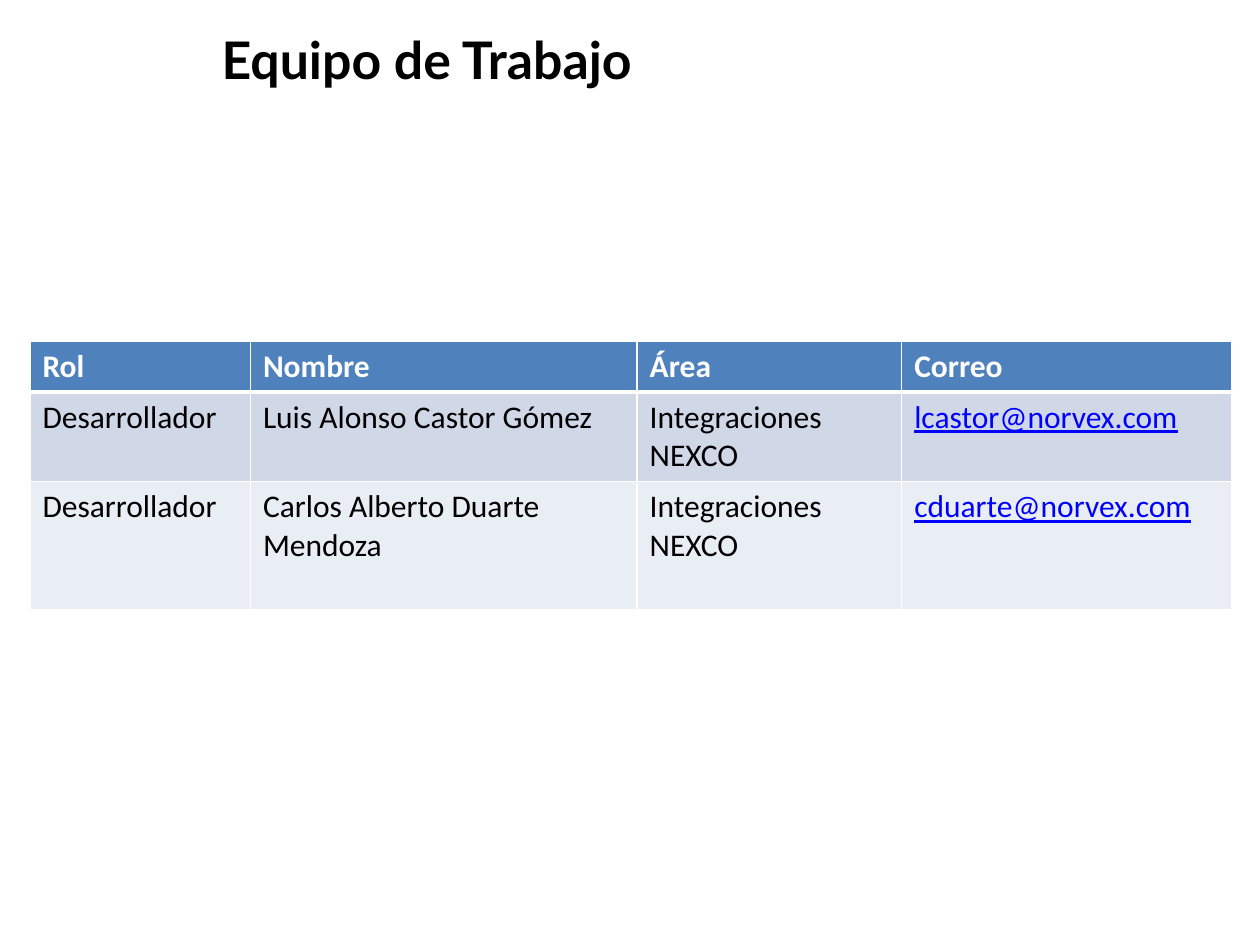
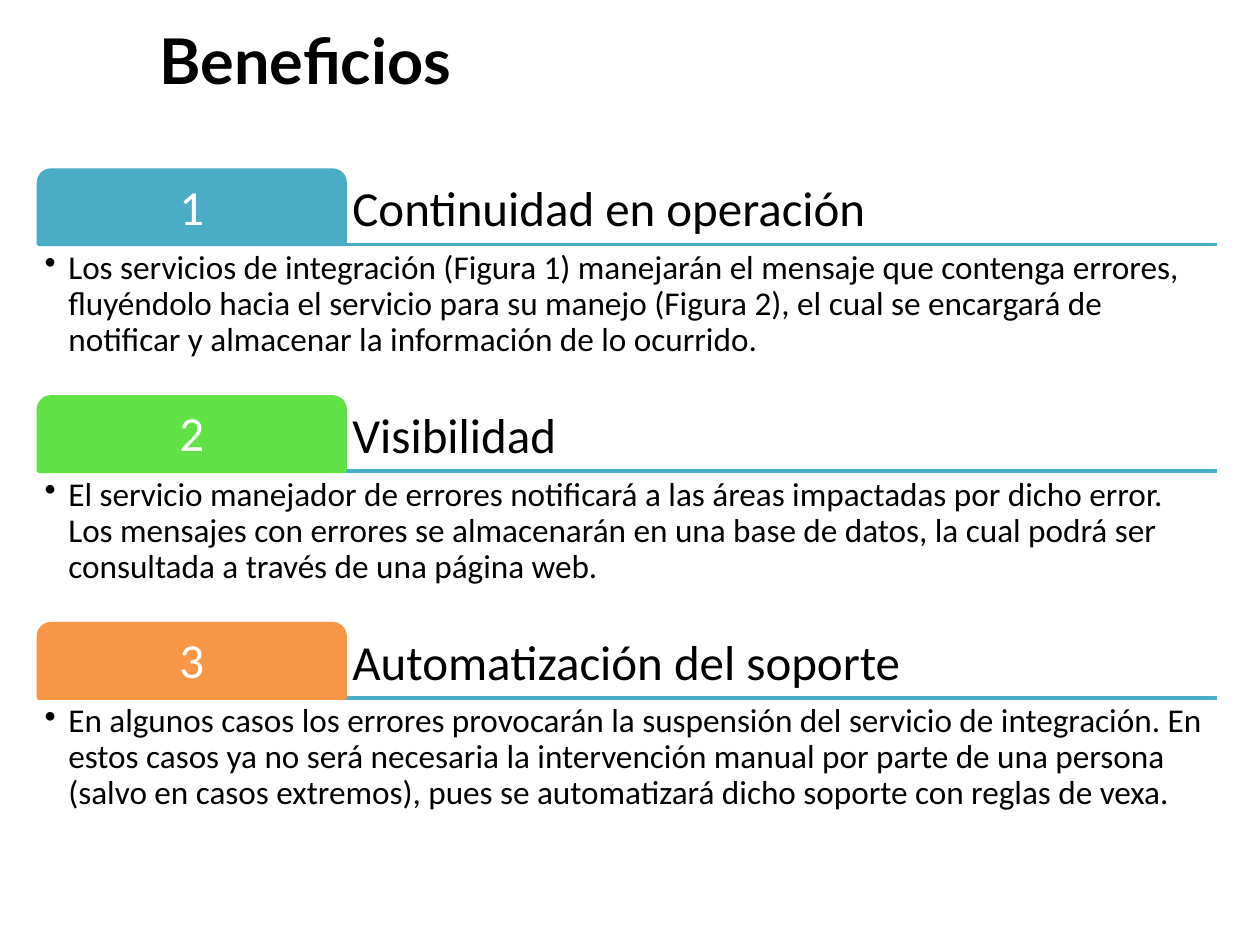
from pptx import Presentation
from pptx.dml.color import RGBColor
from pptx.enum.shapes import MSO_CONNECTOR, MSO_SHAPE
from pptx.enum.text import MSO_ANCHOR, PP_ALIGN
from pptx.oxml.ns import qn
from pptx.util import Pt
from lxml.etree import SubElement

COLORS = {
    "text": "000000",
    "white": "FFFFFF",
    "link": "0000FF",
    "header": "4F81BD",
    "odd_row": "D0D8E8",
    "even_row": "E9EDF4",
    "teal": "4BACC6",
    "green": "60E146",
    "orange": "F79646",
}


def rgb(name):
    return RGBColor.from_string(COLORS[name])


def write(frame, text, size=18, font="Calibri", color="text", bold=False,
          underline=False, align=PP_ALIGN.LEFT, anchor=MSO_ANCHOR.TOP,
          margins=(7.2, 3.6), spacing=1.0, bullet_indent=0):
    frame.word_wrap = True
    frame.vertical_anchor = anchor
    frame.margin_left = frame.margin_right = Pt(margins[0])
    frame.margin_top = frame.margin_bottom = Pt(margins[1])
    paragraph = frame.paragraphs[0]
    paragraph.alignment = align
    paragraph.line_spacing = spacing
    if bullet_indent:
        properties = paragraph._p.get_or_add_pPr()
        properties.set("marL", str(Pt(bullet_indent)))
        properties.set("indent", str(-Pt(bullet_indent)))
        SubElement(properties, qn("a:buChar")).set("char", "•")
    run = paragraph.add_run()
    run.text = text
    run.font.name = font
    run.font.size = Pt(size)
    run.font.bold = bold
    run.font.underline = underline
    run.font.color.rgb = rgb(color)


presentation = Presentation()
presentation.slide_width = Pt(720)
presentation.slide_height = Pt(540)

# Slides with their shared title style
titles = [("Equipo de Trabajo", 119.5, 254, 29.6), ("Beneficios", 84.2, 620, 36)]
slides = []
for text, left, width, size in titles:
    slide = presentation.slides.add_slide(presentation.slide_layouts[6])
    title = slide.shapes.add_textbox(Pt(left), Pt(7.2), Pt(width), Pt(53.3))
    write(title.text_frame, text, size=size, font="Lato", bold=True,
          anchor=MSO_ANCHOR.MIDDLE)
    slides.append(slide)
team_slide, benefits_slide = slides

# Team table
team = [
    ["Rol", "Nombre", "Área", "Correo"],
    ["Desarrollador", "Luis Alonso Castor Gómez", "Integraciones NEXCO",
     "lcastor@norvex.com"],
    ["Desarrollador", "Carlos Alberto Duarte Mendoza", "Integraciones NEXCO",
     "cduarte@norvex.com"],
]
column_widths = [126, 221, 151.2, 188.6]
row_heights = [28, 51.2, 73.4]
row_fills = ["header", "odd_row", "even_row"]
table = team_slide.shapes.add_table(
    len(team), len(column_widths), Pt(17.1), Pt(195.2),
    Pt(sum(column_widths)), Pt(sum(row_heights))).table
for column, width in zip(table.columns, column_widths):
    column.width = Pt(width)
for row_index, (row, values) in enumerate(zip(table.rows, team)):
    row.height = Pt(row_heights[row_index])
    is_header = row_index == 0
    borders = {"lnL": 1, "lnR": 1, "lnT": 3 if row_index == 1 else 1,
               "lnB": 3 if is_header else 1}
    for cell, value in zip(row.cells, values):
        is_mail = "@" in value
        color = "white" if is_header else "link" if is_mail else "text"
        write(cell.text_frame, value, color=color, bold=is_header,
              underline=is_mail)
        cell_properties = cell._tc.get_or_add_tcPr()
        for side, width in borders.items():
            border = SubElement(cell_properties, qn(f"a:{side}"), w=str(Pt(width)))
            fill = SubElement(border, qn("a:solidFill"))
            SubElement(fill, qn("a:srgbClr"), val=COLORS["white"])
        cell.fill.solid()
        cell.fill.fore_color.rgb = rgb(row_fills[row_index])

# Benefits: numbered tab, heading, rule and description
benefits = [
    ("Continuidad en operación", "teal",
     "Los servicios de integración (Figura 1) manejarán el mensaje que contenga "
     "errores, fluyéndolo hacia el servicio para su manejo (Figura 2), el cual se "
     "encargará de notificar y almacenar la información de lo ocurrido."),
    ("Visibilidad", "green",
     "El servicio manejador de errores notificará a las áreas impactadas por dicho "
     "error. Los mensajes con errores se almacenarán en una base de datos, la cual "
     "podrá ser consultada a través de una página web."),
    ("Automatización del soporte", "orange",
     "En algunos casos los errores provocarán la suspensión del servicio de "
     "integración. En estos casos ya no será necesaria la intervención manual por "
     "parte de una persona (salvo en casos extremos), pues se automatizará dicho "
     "soporte con reglas de vexa."),
]
left, right, first_top, step = 22, 695.5, 97.2, 129.6
tab_width, tab_height, body_height = 175.2, 42.5, 85
shapes = benefits_slide.shapes
for index, (heading, color, description) in enumerate(benefits):
    top = first_top + index * step
    rule_top = top + tab_height

    rule = shapes.add_connector(MSO_CONNECTOR.STRAIGHT, Pt(left), Pt(rule_top),
                                Pt(right), Pt(rule_top))
    rule.line.color.rgb = rgb("teal")
    rule.line.width = Pt(2)
    SubElement(rule._element.spPr, qn("a:effectLst"))

    heading_box = shapes.add_textbox(Pt(left + tab_width), Pt(top),
                                     Pt(right - left - tab_width), Pt(tab_height))
    write(heading_box.text_frame, heading, size=28, anchor=MSO_ANCHOR.BOTTOM,
          margins=(4.2, 4.2), spacing=0.9)

    tab = shapes.add_shape(MSO_SHAPE.ROUND_2_SAME_RECTANGLE, Pt(left), Pt(top),
                           Pt(tab_width), Pt(tab_height))
    tab.shadow.inherit = False
    tab.adjustments[0] = 0.167
    tab.adjustments[1] = 0
    tab.fill.solid()
    tab.fill.fore_color.rgb = rgb(color)
    tab.line.color.rgb = rgb(color)
    tab.line.width = Pt(2)
    write(tab.text_frame, str(index + 1), size=28, color="white",
          align=PP_ALIGN.CENTER, anchor=MSO_ANCHOR.MIDDLE,
          margins=(4.2, 4.2), spacing=0.9)

    body = shapes.add_textbox(Pt(left), Pt(rule_top), Pt(right - left),
                              Pt(body_height))
    write(body.text_frame, description, size=19, margins=(3.6, 3.6),
          spacing=0.9, bullet_indent=13.5)

presentation.save("out.pptx")
